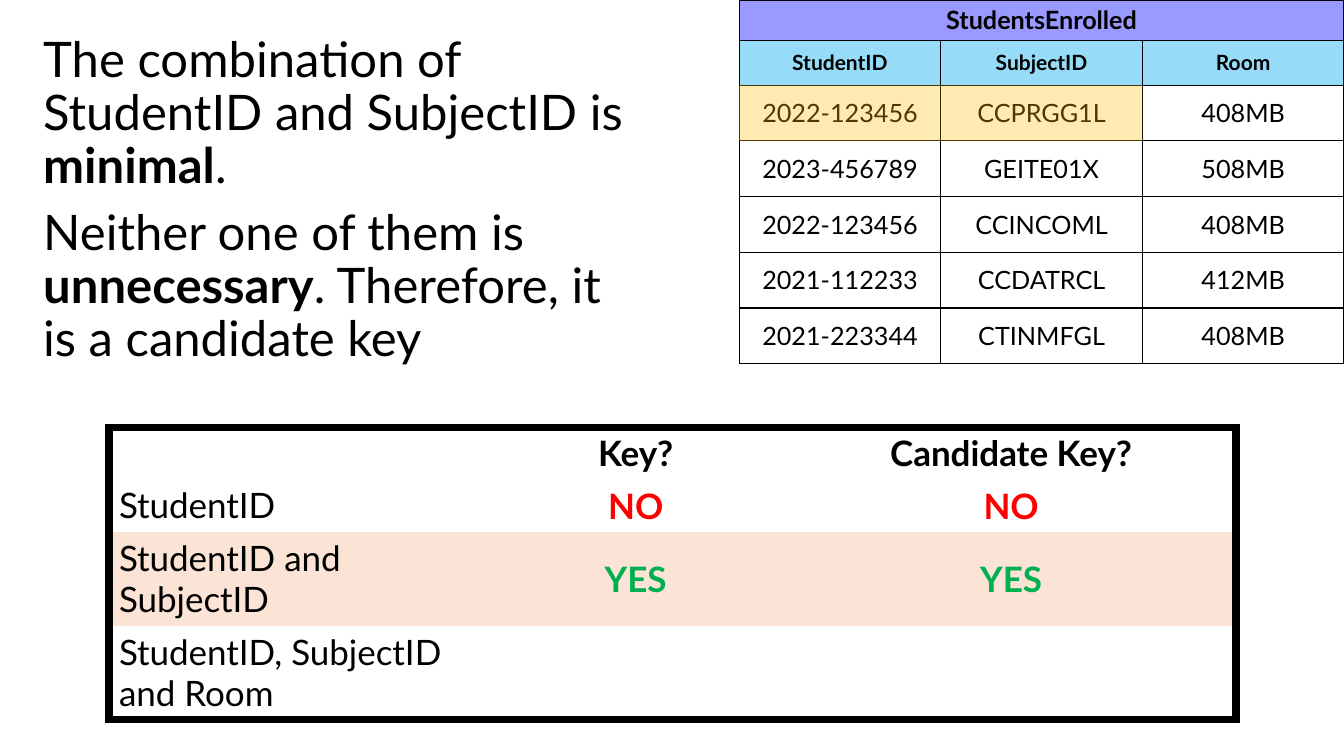
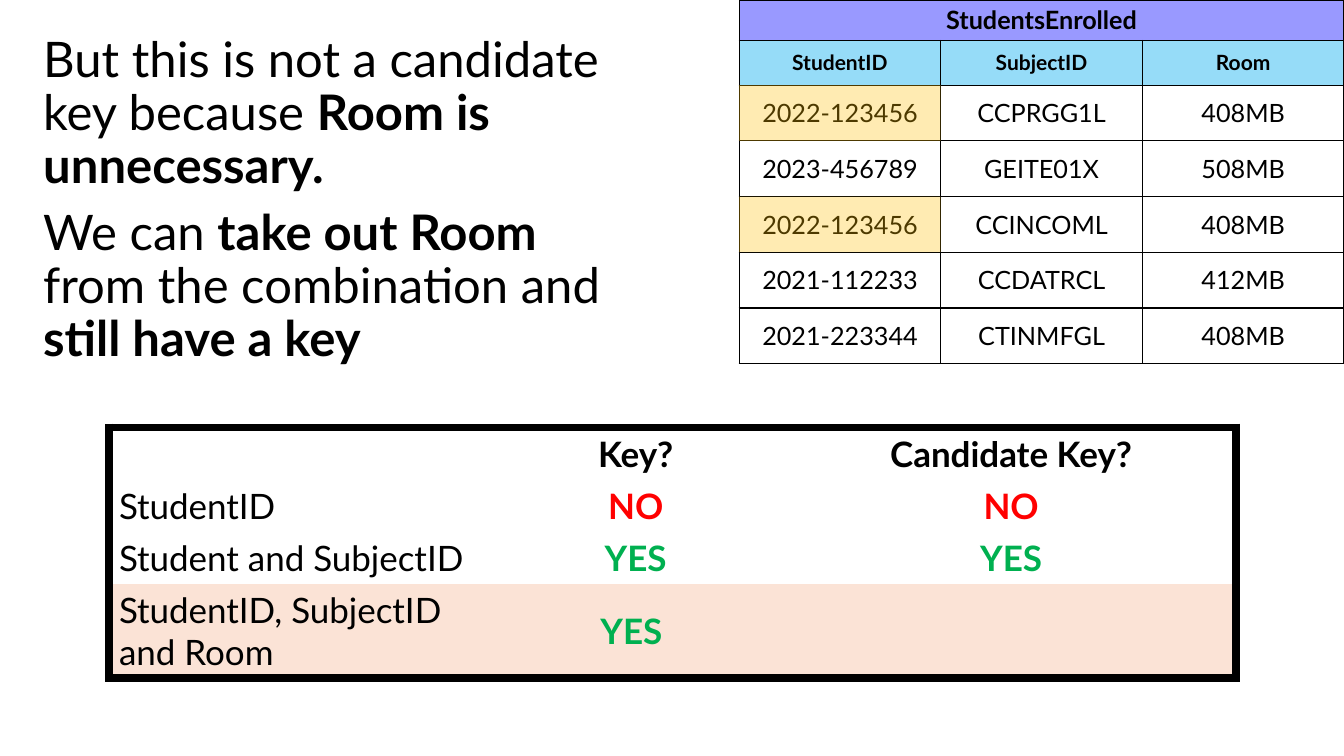
import itertools

import pptx
import pptx.dml.color
import pptx.enum.shapes
import pptx.enum.text
import pptx.oxml
import pptx.oxml.ns
import pptx.util

Pt = pptx.util.Pt
FONT = "Lato"
COLORS = {
    "text": "000000",
    "page": "FFFFFF",
    "title": "9999FF",
    "header": "96DCF8",
    "current": "FBE3D6",
    "highlight": "FFC000",
    "NO": "FF0000",
    "YES": "00B050",
}

ENROLLED_LEFT = 528
ENROLLED_COLUMNS = [144] * 3
ENROLLED_ROWS = [28.8, 32] + [39.8] * 5
ENROLLED = [
    ["StudentsEnrolled", "", ""],
    ["StudentID", "SubjectID", "Room"],
    ["2022-123456", "CCPRGG1L", "408MB"],
    ["2023-456789", "GEITE01X", "508MB"],
    ["2022-123456", "CCINCOML", "408MB"],
    ["2021-112233", "CCDATRCL", "412MB"],
    ["2021-223344", "CTINMFGL", "408MB"],
]

KEYS_LEFT, KEYS_TOP = 77.8, 305.3
KEYS_COLUMNS = [268.6, 215.3, 321.1]
ONE_LINE, TWO_LINES = 37.2, 67.2
KEYS_START = [["", "Key?", "Candidate Key?"], ["StudentID", "NO", "NO"]]

# In each paragraph the pieces alternate between regular and bold.
SLIDES = [
    {
        "paragraphs": [
            ["The combination of StudentID and SubjectID is ", "minimal", "."],
            ["Neither one of them is ", "unnecessary",
             ". Therefore, it is a candidate key"],
        ],
        "highlights": [(2, 0), (2, 1)],
        "keys": [["StudentID and SubjectID", "YES", "YES"],
                 ["StudentID, SubjectID and Room", "", ""]],
        "key_rows": [ONE_LINE, ONE_LINE, TWO_LINES, TWO_LINES],
        "current": 2,
    },
    {
        "paragraphs": [
            ["But this is not a candidate key because ", "Room is unnecessary."],
            ["We can ", "take out Room ", "from the combination and ",
             "still have a key"],
        ],
        "highlights": [(2, 0), (4, 0)],
        "keys": [["Student and SubjectID", "YES", "YES"],
                 ["StudentID, SubjectID and Room", "YES ", ""]],
        "key_rows": [ONE_LINE, ONE_LINE, ONE_LINE, TWO_LINES],
        "current": 3,
    },
]


def rgb(name):
    return pptx.dml.color.RGBColor.from_string(COLORS[name])


def format_run(run, size, bold, color="text"):
    run.font.name = FONT
    run.font.size = Pt(size)
    run.font.bold = bold
    run.font.color.rgb = rgb(color)


def add_plain_table(slide, left, top, columns, rows):
    frame = slide.shapes.add_table(len(rows), len(columns), Pt(left), Pt(top),
                                   Pt(sum(columns)), Pt(sum(rows)))
    table = frame.table
    table.first_row = False
    table.horz_banding = False
    for column, width in zip(table.columns, columns):
        column.width = Pt(width)
    for row, height in zip(table.rows, rows):
        row.height = Pt(height)
    return table


def set_borders(cell, widths):
    """Draw the sides named in widths (L, R, T, B) and clear the others."""
    properties = cell._tc.get_or_add_tcPr()
    namespace = pptx.oxml.ns.nsdecls("a")
    for side in "LRTB":
        width = widths.get(side, 0)
        paint = (f'<a:solidFill><a:srgbClr val="{COLORS["text"]}"/></a:solidFill>'
                 if width else "<a:noFill/>")
        properties.append(pptx.oxml.parse_xml(
            f'<a:ln{side} {namespace} w="{Pt(width)}">{paint}</a:ln{side}>'))


def write_cell(cell, text, size, bold, color="text", fill="page", centered=True):
    cell.fill.solid()
    cell.fill.fore_color.rgb = rgb(fill)
    if not text:
        return
    cell.text_frame.text = text
    paragraph = cell.text_frame.paragraphs[0]
    if centered:
        cell.vertical_anchor = pptx.enum.text.MSO_ANCHOR.MIDDLE
        paragraph.alignment = pptx.enum.text.PP_ALIGN.CENTER
    format_run(paragraph.runs[0], size, bold, color)


def add_enrolled_table(slide):
    table = add_plain_table(slide, ENROLLED_LEFT, 0, ENROLLED_COLUMNS, ENROLLED_ROWS)
    fills = {0: "title", 1: "header"}
    for row, texts in enumerate(ENROLLED):
        for column, text in enumerate(texts):
            cell = table.cell(row, column)
            set_borders(cell, dict.fromkeys("LRTB", 1))
            write_cell(cell, text, 15 if row == 1 else 18, row < 2,
                       fill=fills.get(row, "page"))
    table.cell(0, 0).merge(table.cell(0, 2))


def add_keys_table(slide, content):
    rows = KEYS_START + content["keys"]
    table = add_plain_table(slide, KEYS_LEFT, KEYS_TOP, KEYS_COLUMNS,
                            content["key_rows"])
    last_row, last_column = len(rows) - 1, len(KEYS_COLUMNS) - 1
    for row, column in itertools.product(range(len(rows)), range(len(KEYS_COLUMNS))):
        cell, text = table.cell(row, column), rows[row][column]
        outer = {"L": column == 0, "R": column == last_column,
                 "T": row == 0, "B": row == last_row}
        set_borders(cell, {side: 6 for side, drawn in outer.items() if drawn})
        answer = text.strip()
        write_cell(cell, text, 25, column > 0,
                   color=answer if answer in COLORS else "text",
                   fill="current" if row == content["current"] else "page",
                   centered=column > 0)


def add_explanation(slide, paragraphs):
    box = slide.shapes.add_textbox(Pt(23.8), Pt(21.6), Pt(443.5), Pt(283.7))
    frame = box.text_frame
    frame.word_wrap = True
    for index, pieces in enumerate(paragraphs):
        paragraph = frame.add_paragraph() if index else frame.paragraphs[0]
        paragraph.line_spacing = 0.9
        paragraph.space_before = Pt(10)
        for position, piece in enumerate(pieces):
            run = paragraph.add_run()
            run.text = piece
            format_run(run, 35, position % 2 == 1)


def add_highlight(slide, row, column):
    """Tint one cell of the enrolled table."""
    shape = slide.shapes.add_shape(
        pptx.enum.shapes.MSO_SHAPE.RECTANGLE,
        Pt(ENROLLED_LEFT + sum(ENROLLED_COLUMNS[:column])),
        Pt(sum(ENROLLED_ROWS[:row])),
        Pt(ENROLLED_COLUMNS[column]), Pt(ENROLLED_ROWS[row]))
    shape.shadow.inherit = False
    shape.line.fill.background()
    shape.fill.solid()
    shape.fill.fore_color.rgb = rgb("highlight")
    color = shape._element.spPr.find(".//" + pptx.oxml.ns.qn("a:srgbClr"))
    color.append(pptx.oxml.parse_xml(
        f'<a:alpha {pptx.oxml.ns.nsdecls("a")} val="30000"/>'))


def main():
    presentation = pptx.Presentation()
    presentation.slide_width = Pt(960)
    presentation.slide_height = Pt(540)
    for content in SLIDES:
        slide = presentation.slides.add_slide(presentation.slide_layouts[6])
        add_enrolled_table(slide)
        add_keys_table(slide, content)
        add_explanation(slide, content["paragraphs"])
        for row, column in content["highlights"]:
            add_highlight(slide, row, column)
    presentation.save("out.pptx")


if __name__ == "__main__":
    main()
